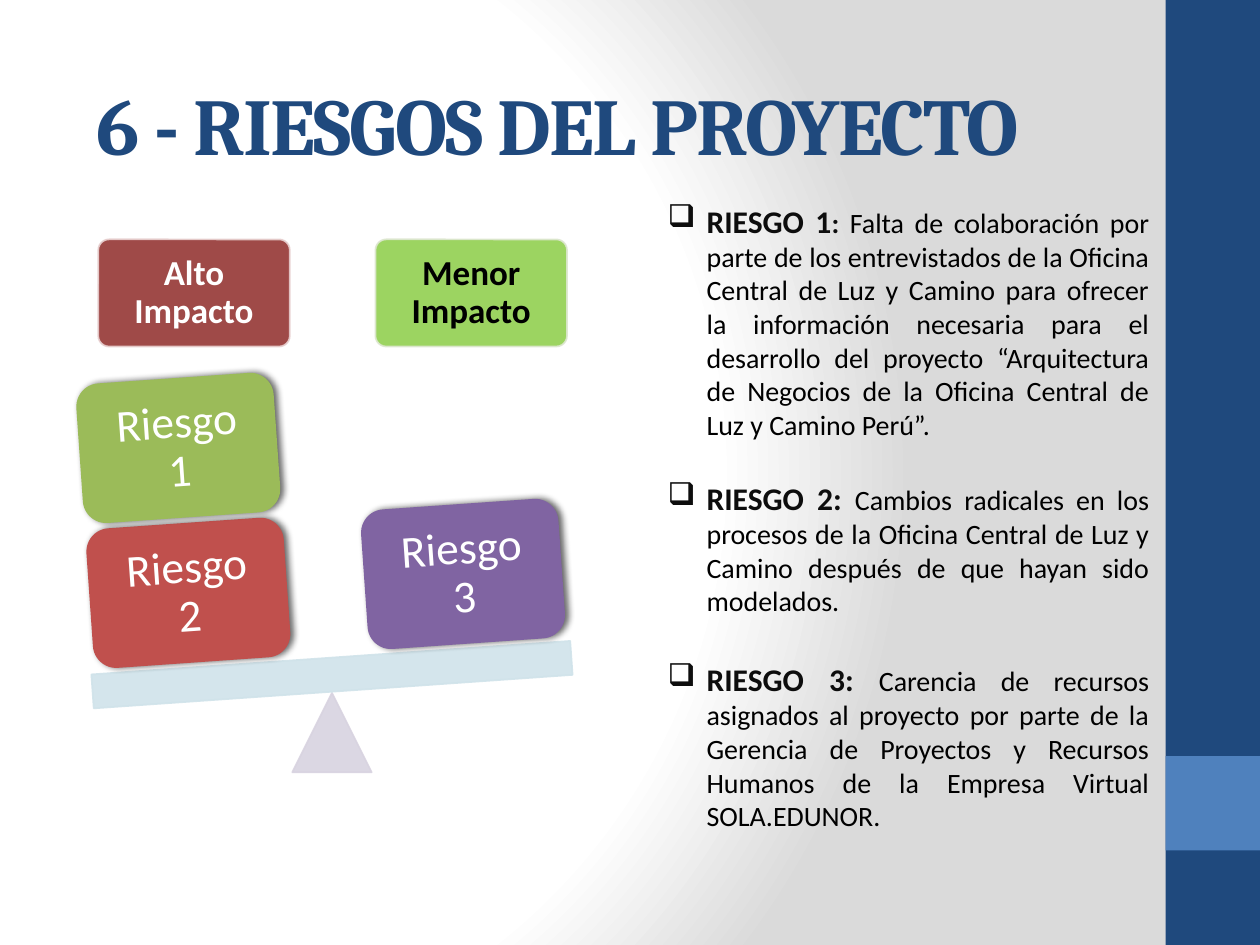
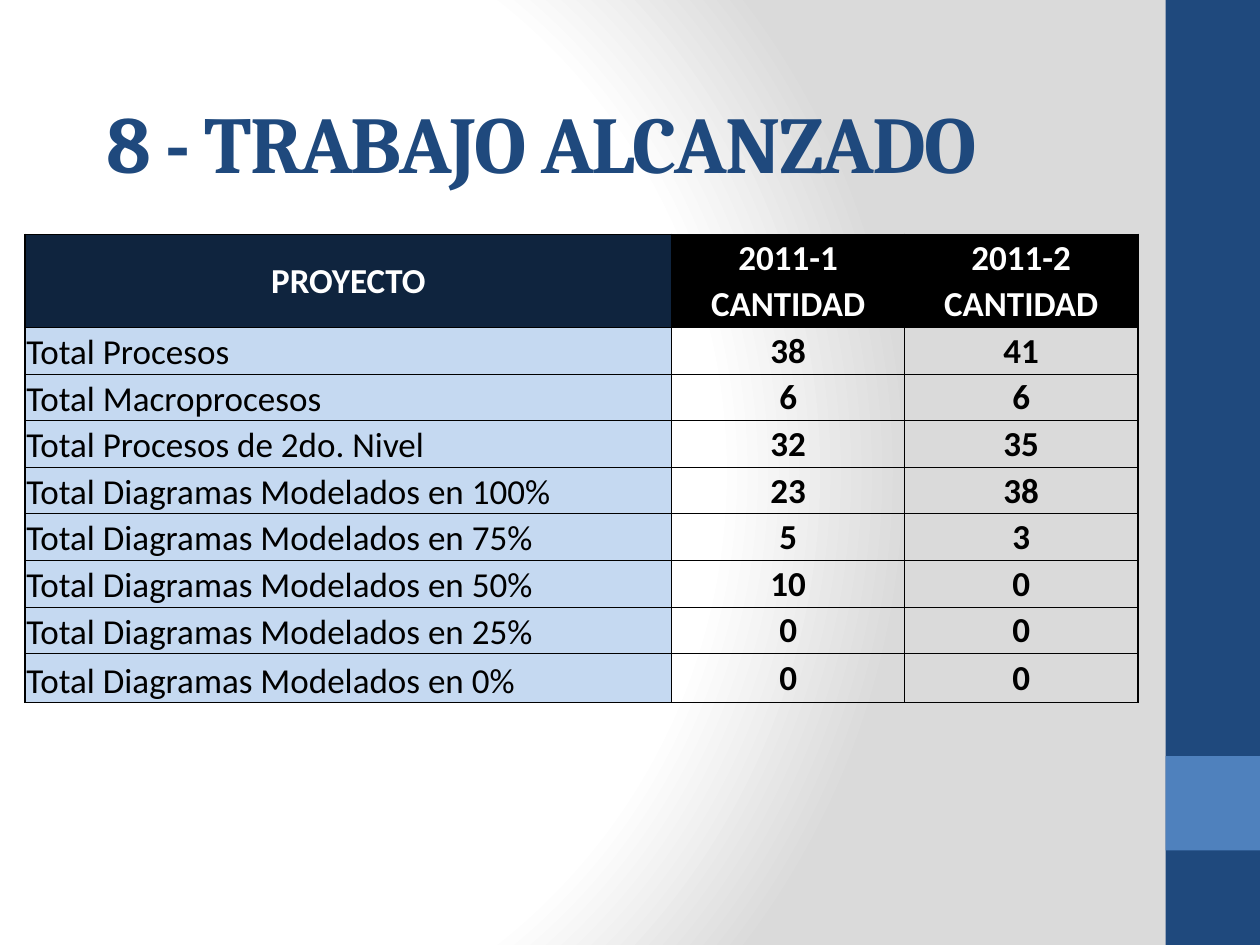
from lxml import etree
from pptx import Presentation
from pptx.dml.color import RGBColor
from pptx.enum.shapes import MSO_SHAPE
from pptx.enum.text import MSO_ANCHOR, MSO_AUTO_SIZE, PP_ALIGN
from pptx.oxml import parse_xml
from pptx.oxml.ns import nsdecls, qn
from pptx.util import Inches, Pt

NAVY = RGBColor(0x1F, 0x49, 0x7D)
BLUE = RGBColor(0x4F, 0x81, 0xBD)
WHITE = RGBColor(0xFF, 0xFF, 0xFF)
BLACK = RGBColor(0x00, 0x00, 0x00)
INK = RGBColor(0x0D, 0x0D, 0x0D)
MAROON = RGBColor(0x95, 0x37, 0x35)
PINK = RGBColor(0xE8, 0xD0, 0xD0)
LIME = RGBColor(0x92, 0xD0, 0x50)
PALE_GREEN = RGBColor(0xDE, 0xE7, 0xD1)
LILAC = RGBColor(0xD8, 0xD3, 0xE0)
ICE = RGBColor(0xD0, 0xE3, 0xEA)
RED = RGBColor(0xC0, 0x50, 0x4D)
GREEN = RGBColor(0x9B, 0xBB, 0x59)
PURPLE = RGBColor(0x80, 0x64, 0xA2)
MIDNIGHT = RGBColor(0x0F, 0x24, 0x3E)
SKY = RGBColor(0xC5, 0xD9, 0xF1)

BACKGROUND = f"""<p:bg {nsdecls('p', 'a')}><p:bgPr><a:gradFill rotWithShape="1"><a:gsLst>
<a:gs pos="0"><a:srgbClr val="FFFFFF"/></a:gs><a:gs pos="75000"><a:srgbClr val="FFFFFF"/></a:gs>
<a:gs pos="100000"><a:srgbClr val="DADADA"/></a:gs></a:gsLst>
<a:path path="circle"><a:fillToRect l="20000" t="50000" r="100000" b="50000"/></a:path>
</a:gradFill><a:effectLst/></p:bgPr></p:bg>"""
SHADOW = f"""<a:outerShdw {nsdecls('a')} blurRad="50800" dist="25400" dir="0">
<a:srgbClr val="000000"><a:alpha val="60000"/></a:srgbClr></a:outerShdw>"""

TILT = -4
BULLET_INDENT = Inches(0.31)
MARGINS = ("margin_left", "margin_top", "margin_right", "margin_bottom")


def apply(target, values):
    for name, value in values.items():
        setattr(target, name, value)


def inches(box):
    return [Inches(length) for length in box]


class Deck:
    def __init__(self):
        self.presentation = Presentation()
        self.presentation.slide_width = Inches(10)
        self.presentation.slide_height = Inches(7.5)
        self.slide = None

    def new_slide(self, title, title_box, anchor):
        self.slide = self.presentation.slides.add_slide(self.presentation.slide_layouts[6])
        self.slide.element.cSld.insert(0, parse_xml(BACKGROUND))
        self.shape(MSO_SHAPE.RECTANGLE, (9.25, 0, 0.75, 7.5), NAVY)
        self.shape(MSO_SHAPE.RECTANGLE, (9.25, 6, 0.75, 0.75), BLUE)
        paragraph = self.text_box(title_box, vertical_anchor=anchor)
        heading = self.run(paragraph, title, 46, NAVY, bold=True, name="Cambria")
        heading.font._element.set("spc", "-100")

    def run(self, paragraph, text, size, color, bold=False, name="Calibri"):
        run = paragraph.add_run()
        run.text = text
        apply(run.font, {"size": Pt(size), "bold": bold, "name": name})
        run.font.color.rgb = color
        return run

    def text_box(self, box, **frame_format):
        frame = self.slide.shapes.add_textbox(*inches(box)).text_frame
        apply(frame, {"word_wrap": True, **frame_format})
        return frame.paragraphs[0]

    def shape(self, kind, box, fill, line=None, rotation=0, opacity=100):
        shape = self.slide.shapes.add_shape(kind, *inches(box))
        shape.shadow.inherit = False
        shape.rotation = rotation
        shape.fill.solid()
        shape.fill.fore_color.rgb = fill
        if line is None:
            shape.line.fill.background()
        else:
            shape.line.color.rgb = line
            shape.line.width = Pt(1)
        if opacity < 100:
            for color in shape.element.spPr.iter(qn("a:srgbClr")):
                etree.SubElement(color, qn("a:alpha"), val=str(opacity * 1000))
        return shape

    def caption(self, shape, text, size, color, inset, bold=False):
        frame = shape.text_frame
        apply(frame, {"word_wrap": True, "vertical_anchor": MSO_ANCHOR.MIDDLE,
                      **dict.fromkeys(MARGINS, Inches(inset))})
        paragraph = frame.paragraphs[0]
        apply(paragraph, {"alignment": PP_ALIGN.CENTER, "line_spacing": 0.9})
        self.run(paragraph, text, size, color, bold)

    def impact_label(self, left, text, fill, line, color):
        label = self.shape(MSO_SHAPE.ROUNDED_RECTANGLE, (left, 1.9, 1.52, 0.85),
                           fill, line, opacity=90)
        label.adjustments[0] = 0.1
        self.caption(label, text, 20, color, 0.1, bold=True)

    def risk_block(self, left, top, text, fill):
        block = self.shape(MSO_SHAPE.ROUNDED_RECTANGLE, (left, top, 1.57, 1.11),
                           fill, rotation=TILT)
        block.element.spPr.find(qn("a:effectLst")).append(parse_xml(SHADOW))
        self.caption(block, text, 26, WHITE, 0.16)

    def risk_note(self, top, height, heading, colon_size, description):
        paragraph = self.text_box((5.2, top, 4.02, height),
                                  auto_size=MSO_AUTO_SIZE.SHAPE_TO_FIT_TEXT)
        paragraph.alignment = PP_ALIGN.JUSTIFY
        properties = paragraph._p.get_or_add_pPr()
        properties.set("marL", str(BULLET_INDENT))
        properties.set("indent", str(-BULLET_INDENT))
        etree.SubElement(properties, qn("a:buChar"), char="❑")
        self.run(paragraph, heading, 18, INK, bold=True)
        self.run(paragraph, ": ", colon_size, INK, bold=True)
        self.run(paragraph, description, 16, BLACK)

    def cell(self, cell, text, fill, color, borders, is_name=False, bold=True):
        """Fill one table cell; borders maps the sides L, R, T, B to widths in points."""
        properties = cell._tc.get_or_add_tcPr()
        for side, width in borders.items():
            properties.append(parse_xml(
                f'<a:ln{side} {nsdecls("a")} w="{Pt(width)}"><a:solidFill>'
                f'<a:srgbClr val="{BLACK}"/></a:solidFill></a:ln{side}>'))
        apply(cell, {**dict.fromkeys(MARGINS, Inches(0.01)), "margin_bottom": 0,
                     "vertical_anchor": MSO_ANCHOR.BOTTOM if is_name else MSO_ANCHOR.MIDDLE})
        if fill is None:
            cell.fill.background()
        else:
            cell.fill.solid()
            cell.fill.fore_color.rgb = fill
        paragraph = cell.text_frame.paragraphs[0]
        paragraph.alignment = PP_ALIGN.LEFT if is_name else PP_ALIGN.CENTER
        if text:
            self.run(paragraph, text, 20, color, bold)

    def totals_table(self, box, widths, header, totals):
        rows = header + totals
        table = self.slide.shapes.add_table(len(rows), len(widths), *inches(box)).table
        apply(table, {"first_row": False, "horz_banding": False})
        for column, width in zip(table.columns, widths):
            column.width = Inches(width)
        for r, values in enumerate(rows):
            last_row = r == len(rows) - 1
            table.rows[r].height = Inches(0.39 if last_row else 0.37)
            for c, text in enumerate(values):
                in_header, is_name = r < len(header), c == 0
                if in_header:
                    fill = MIDNIGHT if is_name else BLACK
                else:
                    fill = SKY if is_name else None
                outer = {"L": c == 0, "R": c == len(widths) - 1, "T": r == 0, "B": last_row}
                borders = {side: 1 if edge else 0.5 for side, edge in outer.items()}
                self.cell(table.cell(r, c), text, fill, WHITE if in_header else BLACK,
                          borders, is_name=is_name and not in_header,
                          bold=in_header or not is_name)
        table.cell(0, 0).merge(table.cell(len(header) - 1, 0))


def risks_slide(deck):
    deck.new_slide("6 - RIESGOS DEL PROYECTO", (0.67, 0.55, 8.94, 1), MSO_ANCHOR.TOP)
    deck.impact_label(0.78, "Alto Impacto", MAROON, PINK, WHITE)
    deck.impact_label(2.98, "Menor Impacto", LIME, PALE_GREEN, BLACK)
    deck.shape(MSO_SHAPE.ISOSCELES_TRIANGLE, (2.32, 5.5, 0.63, 0.63), LILAC, LILAC, opacity=90)
    deck.shape(MSO_SHAPE.RECTANGLE, (0.73, 5.22, 3.81, 0.27), ICE, ICE, TILT, 90)
    deck.risk_block(0.71, 4.15, "Riesgo2", RED)
    deck.risk_block(0.63, 3, "Riesgo 1", GREEN)
    deck.risk_block(2.89, 4, "Riesgo 3", PURPLE)
    deck.risk_note(1.55, 2.02, "RIESGO 1", 16,
                   "Falta de colaboración por parte de los entrevistados de la Oficina Central "
                   "de Luz y Camino para ofrecer la información necesaria para el desarrollo del "
                   "proyecto “Arquitectura de Negocios de la Oficina Central de Luz y Camino "
                   "Perú”.")
    deck.risk_note(3.75, 1.21, "RIESGO 2", 18,
                   "Cambios radicales en los procesos de la Oficina Central de Luz y Camino "
                   "después de que hayan sido modelados.")
    deck.risk_note(5.19, 1.78, "RIESGO 3", 18,
                   "Carencia de recursos asignados al proyecto por parte de la Gerencia de "
                   "Proyectos y Recursos Humanos de la Empresa Virtual SOLA.EDUNOR.")


def results_slide(deck):
    deck.new_slide("8 - TRABAJO ALCANZADO", (0.75, 0.62, 8.27, 1.01), MSO_ANCHOR.MIDDLE)
    header = [("PROYECTO", "2011-1", "2011-2"), ("", "CANTIDAD", "CANTIDAD")]
    totals = [
        ("Total Procesos", "38", "41"),
        ("Total Macroprocesos", "6", "6"),
        ("Total Procesos de 2do. Nivel", "32", "35"),
        ("Total Diagramas Modelados en 100%", "23", "38"),
        ("Total Diagramas Modelados en 75%", "5", "3"),
        ("Total Diagramas Modelados en 50%", "10", "0"),
        ("Total Diagramas Modelados en 25%", "0", "0"),
        ("Total Diagramas Modelados en 0%", "0", "0"),
    ]
    deck.totals_table((0.2, 1.86, 8.83, 3.72), (5.13, 1.85, 1.85), header, totals)


def main():
    deck = Deck()
    risks_slide(deck)
    results_slide(deck)
    deck.presentation.save("out.pptx")


if __name__ == "__main__":
    main()
